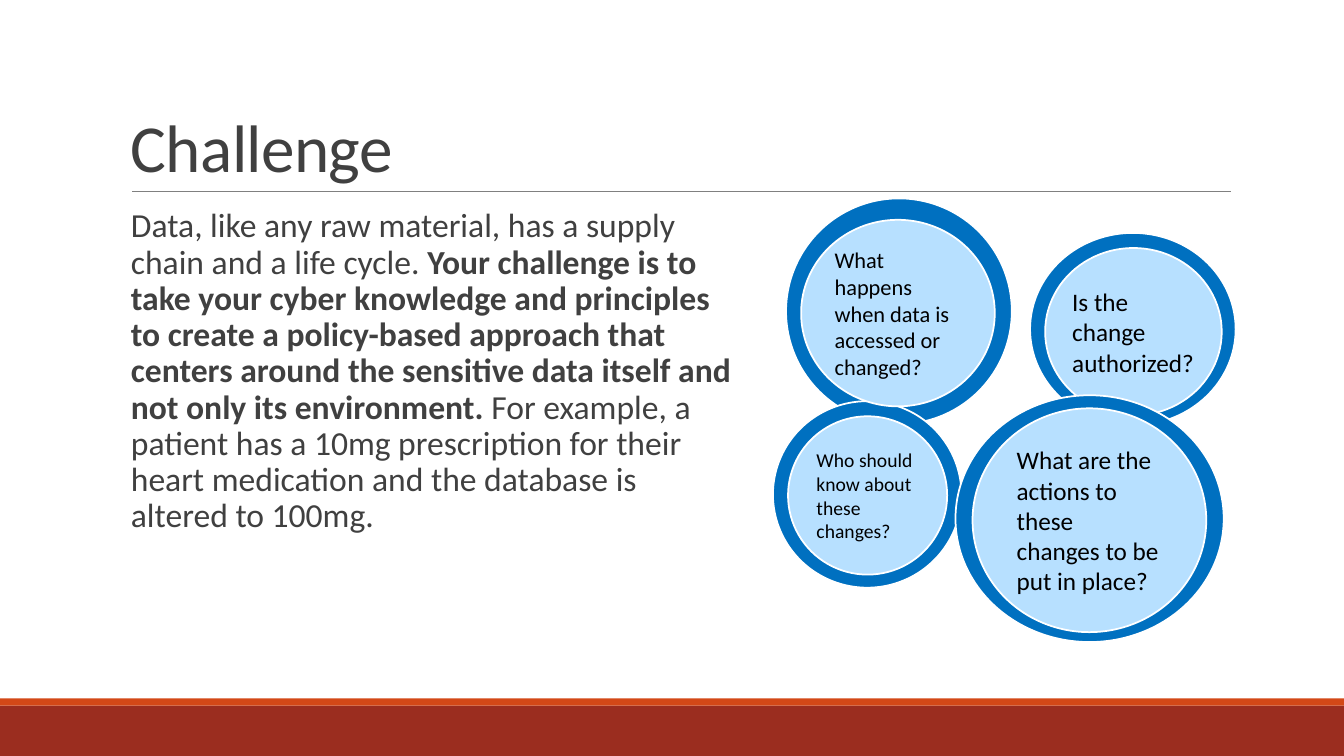
from lxml import etree
from pptx import Presentation
from pptx import util as u
from pptx.dml.color import RGBColor
from pptx.enum import shapes, text
from pptx.oxml import ns

WHITE = RGBColor(0xFF, 0xFF, 0xFF)
BLACK = RGBColor(0x00, 0x00, 0x00)
INK = RGBColor(0x40, 0x40, 0x40)
GREY = RGBColor(0x80, 0x80, 0x80)
RUST = RGBColor(0x9B, 0x2D, 0x1F)
ORANGE = RGBColor(0xD3, 0x48, 0x17)
BLUE = RGBColor(0x00, 0x70, 0xC0)
PALE_BLUE = RGBColor(0xB7, 0xE0, 0xFF)
FONT = "Calibri"


def write(tf, runs, size, color=INK, anchor=text.MSO_ANCHOR.TOP,
          side=0.25, line_spacing=None, tracking=None):
    """Fill a text frame with (text, bold) runs; side is the left/right inset in cm."""
    tf.word_wrap = True
    tf.vertical_anchor = anchor
    tf.margin_left, tf.margin_right = (u.Cm(m) for m in side) if isinstance(side, tuple) else (u.Cm(side),) * 2
    tf.margin_top = tf.margin_bottom = u.Cm(0.13)
    p = tf.paragraphs[0]
    p.alignment = text.PP_ALIGN.LEFT
    if line_spacing:
        p.line_spacing = line_spacing
    for words, bold in runs:
        r = p.add_run()
        r.text = words
        r.font.name, r.font.size, r.font.bold = FONT, u.Pt(size), bold
        r.font.color.rgb = color
        if tracking:
            r._r.get_or_add_rPr().set("spc", str(tracking))


class Deck:
    """Holds the presentation, its current slide and the shared style."""

    def __init__(self, width, height):
        self.prs = Presentation()
        self.prs.slide_width, self.prs.slide_height = u.Cm(width), u.Cm(height)
        self.s = self.prs.slides.add_slide(self.prs.slide_layouts[6])

    def shape(self, kind, box, fill, outline=None):
        sp = self.s.shapes.add_shape(kind, *map(u.Cm, box))
        sp.shadow.inherit = False
        sp.fill.solid()
        sp.fill.fore_color.rgb = fill
        if outline is None:
            sp.line.fill.background()
        else:
            sp.line.color.rgb = outline
            sp.line.width = u.Pt(1.25)
        return sp

    def bar(self, box, fill):
        return self.shape(shapes.MSO_SHAPE.RECTANGLE, box, fill)

    def circle(self, box, fill):
        return self.shape(shapes.MSO_SHAPE.OVAL, box, fill, WHITE)

    def rule(self, x1, x2, y):
        cx = self.s.shapes.add_connector(
            shapes.MSO_CONNECTOR.STRAIGHT, u.Cm(x1), u.Cm(y), u.Cm(x2), u.Cm(y))
        cx.line.color.rgb = GREY
        cx.line.width = u.Pt(0.5)
        etree.SubElement(cx._element.spPr, ns.qn("a:effectLst"))

    def textbox(self, box, runs, size, **fmt):
        tb = self.s.shapes.add_textbox(*map(u.Cm, box))
        write(tb.text_frame, runs, size, **fmt)

    def question(self, box, words, size, side):
        sp = self.circle(box, PALE_BLUE)
        write(sp.text_frame, [(words, False)], size, color=BLACK,
              anchor=text.MSO_ANCHOR.MIDDLE, side=side)


deck = Deck(33.87, 19.05)

# Footer bands and title rule
deck.bar((0, 17.78, 33.87, 1.27), RUST)
deck.bar((0, 17.6, 33.87, 0.18), ORANGE)
deck.rule(3.33, 31.01, 4.83)

# Title and body
deck.textbox((3.05, 0.79, 27.94, 4.04), [("Challenge", False)], 48,
             anchor=text.MSO_ANCHOR.BOTTOM, line_spacing=0.85, tracking=-50)
deck.textbox((3.05, 5.13, 15.52, 11.18), [
    ("Data, like any raw material, has a supply chain and a life cycle. ", False),
    ("Your challenge is to take your cyber knowledge and principles to create a "
     "policy-based approach that centers around the sensitive data itself and "
     "not only its environment. ", True),
    ("For example, a patient has a 10mg prescription for their heart medication "
     "and the database is altered to 100mg.", False),
], 24, side=(0.25, 0), line_spacing=0.9)

# Question circles: ring box, inner box, words, size, side inset
back = [
    ((19.81, 5, 5.69, 5.69), (20.19, 5.54, 4.88, 4.7),
     "What happens when data is accessed or changed?", 16, 0.13),
    ((25.96, 5.87, 5.18, 4.85), (26.34, 6.25, 4.45, 4.22),
     "Is the change authorized?", 18, 0.03),
    ((19.48, 10.11, 4.75, 4.7), (19.86, 10.49, 4.01, 3.99),
     "Who should know about these changes?", 14, 0.13),
]
front = [
    ((24.08, 9.96, 6.76, 6.22), (24.51, 10.29, 5.89, 5.64),
     "What are the actions to these changes to be put in place?", 18, 0.25),
]
for layer in (back, front):
    for ring, *_ in layer:
        deck.circle(ring, BLUE)
    for _, *inner in layer:
        deck.question(*inner)

deck.prs.save("out.pptx")
